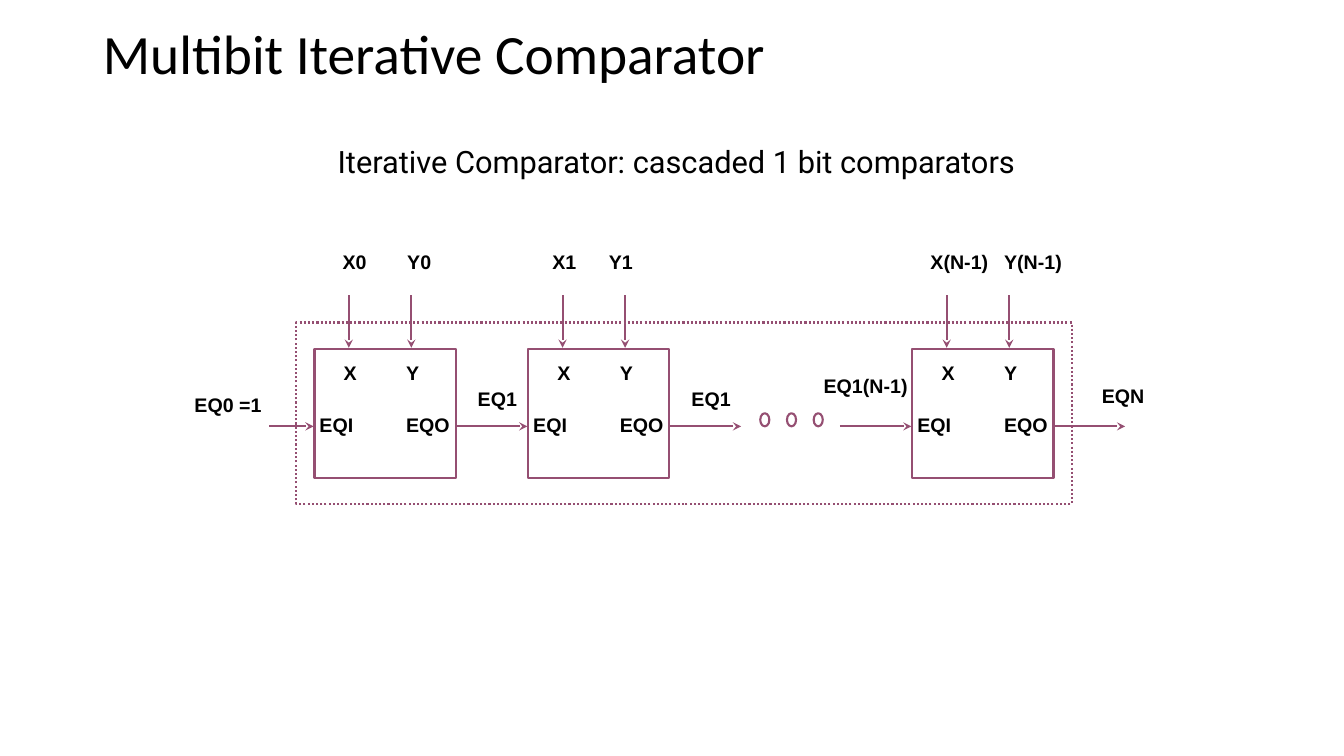
from lxml.etree import SubElement
from pptx import Presentation
from pptx.dml.color import RGBColor
from pptx.enum.dml import MSO_LINE
from pptx.enum.shapes import MSO_CONNECTOR, MSO_SHAPE
from pptx.enum.text import MSO_ANCHOR, PP_ALIGN
from pptx.oxml.ns import qn
from pptx.util import Inches, Pt

BLACK = RGBColor(0x00, 0x00, 0x00)
WHITE = RGBColor(0xFF, 0xFF, 0xFF)
PLUM = RGBColor(0x95, 0x4F, 0x72)

STAGE_TOP, STAGE_W, STAGE_H = 3.46, 1.4, 1.28
SIGNAL_Y = 4.23
PORT_X, PORT_Y = 0.34, 0.96


def write(tf, text, size=14, font="Arial", bold=False, color=BLACK,
          anchor=MSO_ANCHOR.TOP, spacing=None):
    tf.word_wrap = True
    tf.vertical_anchor = anchor
    p = tf.paragraphs[0]
    p.alignment = PP_ALIGN.LEFT
    p.line_spacing = spacing
    r = p.add_run()
    r.text = text
    r.font.size = Pt(size)
    r.font.name = font
    r.font.bold = bold
    r.font.color.rgb = color


class Diagram:
    line_color = PLUM
    line_width = Pt(1.5)

    def __init__(self, slide):
        self.slide = slide

    def title(self, text, x, y, w, h):
        sp = self.slide.shapes.title
        sp.left, sp.top, sp.width, sp.height = map(Inches, (x, y, w, h))
        write(sp.text_frame, text, size=39.6, font="Calibri",
              anchor=MSO_ANCHOR.MIDDLE, spacing=0.9)

    def text(self, text, x, y, w, h=0.34, **style):
        box = self.slide.shapes.add_textbox(*map(Inches, (x, y, w, h)))
        write(box.text_frame, text, **style)

    def label(self, text, x, y, w=0.7):
        self.text(text, x, y, w, bold=True)

    def shape(self, kind, x, y, w, h, fill=None, dash=None):
        sp = self.slide.shapes.add_shape(kind, *map(Inches, (x, y, w, h)))
        sp.shadow.inherit = False
        if fill is None:
            sp.fill.background()
        else:
            sp.fill.solid()
            sp.fill.fore_color.rgb = fill
        sp.line.color.rgb = self.line_color
        sp.line.width = self.line_width
        if dash is not None:
            sp.line.dash_style = dash

    def arrow(self, x1, y1, x2, y2):
        c = self.slide.shapes.add_connector(
            MSO_CONNECTOR.STRAIGHT, *map(Inches, (x1, y1, x2, y2)))
        c.line.color.rgb = self.line_color
        c.line.width = self.line_width
        SubElement(c.line._get_or_add_ln(), qn("a:tailEnd"), type="stealth")
        SubElement(c._element.spPr, qn("a:effectLst"))

    def stage(self, x):
        """One-bit comparator with its two input arrows and its output arrow."""
        self.shape(MSO_SHAPE.RECTANGLE, x, STAGE_TOP, STAGE_W, STAGE_H)
        for name, dx, y in (("X", 0.19, 3.53), ("Y", 0.81, 3.53),
                            ("EQI", -0.05, 4.05), ("EQO", 0.81, 4.05)):
            self.label(name, x + dx, y)
        for dx in (PORT_X, PORT_Y):
            self.arrow(x + dx, 2.93, x + dx, STAGE_TOP - 0.01)
        self.arrow(x + STAGE_W + 0.01, SIGNAL_Y, x + 2.11, SIGNAL_Y)


def main():
    prs = Presentation()
    prs.slide_width, prs.slide_height = Inches(13.33), Inches(7.5)
    s = prs.slides.add_slide(prs.slide_layouts[5])
    d = Diagram(s)

    # Headings
    d.title("Multibit Iterative Comparator", 0.92, 0.23, 11.5, 0.67)
    d.text("Iterative Comparator: cascaded 1 bit comparators",
           3.25, 1.37, 7.08, 0.47, size=22, font="Roboto")

    # Comparator stages and the bits they compare
    for x, bit, x_label, y_label in ((3.12, "0", 3.3, 3.94),
                                     (5.24, "1", 5.38, 5.94),
                                     (9.05, "(N-1)", 9.13, 9.86)):
        d.stage(x)
        d.label("X" + bit, x_label, 2.43, 0.85)
        d.label("Y" + bit, y_label, 2.43, 0.85)

    # Cascade signals
    d.arrow(2.67, SIGNAL_Y, 3.11, SIGNAL_Y)
    d.arrow(8.33, SIGNAL_Y, 9.04, SIGNAL_Y)
    for text, x, y, w in (("EQ0 =1", 1.83, 3.85, 0.92),
                          ("EQ1", 4.64, 3.79, 0.7),
                          ("EQ1", 6.76, 3.79, 0.7),
                          ("EQ1(N-1)", 8.07, 3.66, 1.06),
                          ("EQN", 10.83, 3.76, 0.7)):
        d.label(text, x, y, w)

    # Omitted stages
    for i in range(3):
        d.shape(MSO_SHAPE.OVAL, 7.54 + 0.265 * i, 4.1, 0.09, 0.13, fill=WHITE)

    # Boundary of the whole comparator
    d.shape(MSO_SHAPE.RECTANGLE, 2.94, 3.2, 7.69, 1.8,
            dash=MSO_LINE.ROUND_DOT)

    prs.save("out.pptx")


if __name__ == "__main__":
    main()
